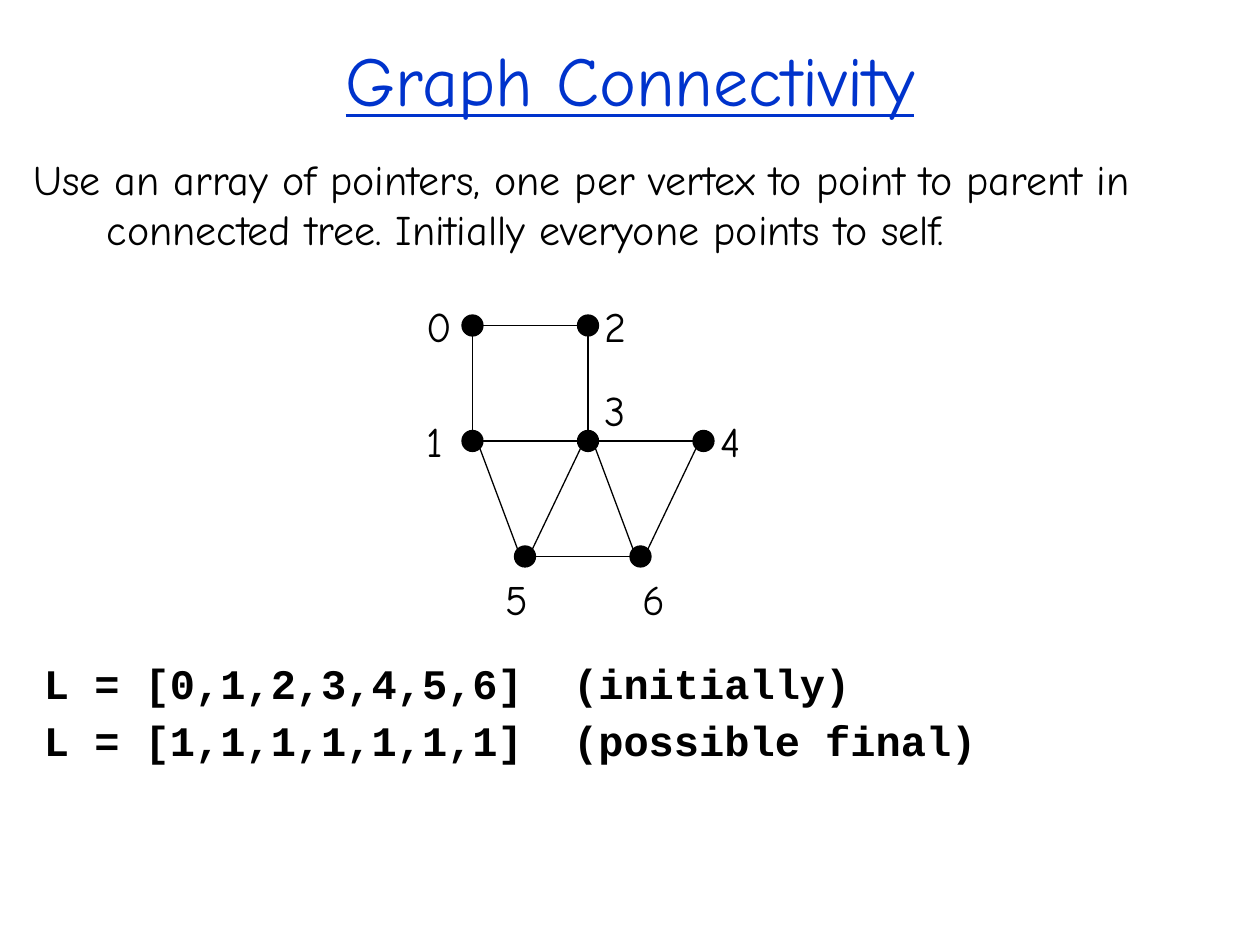
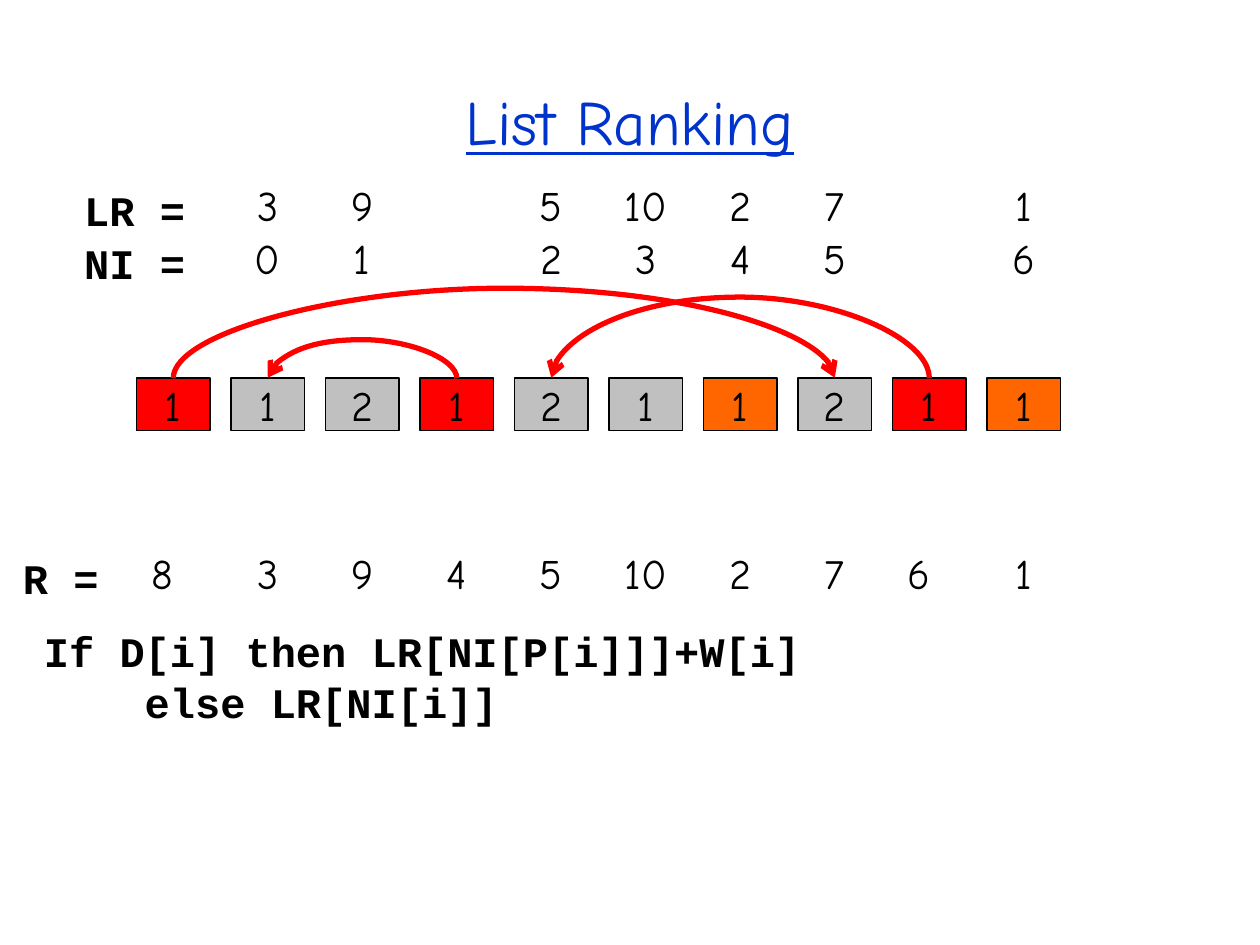
import math
from dataclasses import dataclass
from typing import NamedTuple, Optional

from lxml import etree
from pptx import Presentation
from pptx import util as u
from pptx.dml.color import RGBColor
from pptx.enum import shapes, text
from pptx.oxml.ns import qn


@dataclass(frozen=True)
class Theme:
    ink: str = "000000"
    paper: str = "FFFFFF"
    title: str = "0033CC"
    start: str = "FF0000"
    dropped: str = "FF6600"
    kept: str = "C0C0C0"
    hand: str = "Comic Neue"
    code: str = "Courier New"
    body_size: float = 24
    thin: float = 0.75
    thick: float = 3
    line_gap: float = 4


class Area(NamedTuple):
    column: float
    row: float
    columns: float
    rows: float


class Node(NamedTuple):
    column: float
    row: float
    label_column: float
    label_row: float


class Hop(NamedTuple):
    start: int
    end: int
    rise: float


class ValueRow(NamedTuple):
    name: str
    name_area: Area
    row: float
    values: list[Optional[int]]
    nudged: tuple[int, ...] = ()


THEME = Theme()
WIDTH, HEIGHT = u.Inches(10), u.Inches(7.5)
COLUMNS, ROWS = 120, 90
CELL_COLUMNS, CELL_ROWS, CELL_PITCH, FIRST_CELL = 7, 5, 9, 13
LIST_ROW = 36
BEND_DEPTH = u.Emu(3175)

NODES = [
    Node(45, 31, 39.4, 28),
    Node(45, 42, 39.4, 39),
    Node(56, 31, 56.4, 28),
    Node(56, 42, 56.4, 36),
    Node(67, 42, 67.4, 39),
    Node(50, 53, 47, 54),
    Node(61, 53, 60, 54),
]
EDGES = [(0, 1), (2, 3), (0, 2), (1, 3), (3, 4),
         (5, 6), (1, 5), (5, 3), (4, 6), (6, 3)]

WEIGHTS = [1, 1, 2, 1, 2, 1, 1, 2, 1, 1]
STARTS, DROPPED = {0, 3, 8}, {6, 9}
HOPS = [Hop(3, 1, 3.6), Hop(8, 4, 7.57), Hop(0, 7, 8.4)]
VALUE_ROWS = [
    ValueRow("LR =", Area(6.84, 17, 12.1, 6), 17,
             [None, 3, 9, None, 5, 10, 2, 7, None, 1]),
    ValueRow("NI =", Area(6.84, 22, 12.1, 6), 22,
             [None, 0, 1, None, 2, 3, 4, 5, None, 6]),
    ValueRow("R =", Area(1, 52, 9.7, 6), 52,
             [8, 3, 9, 4, 5, 10, 2, 7, 6, 1], (0, 8)),
]


def across(columns: float) -> u.Emu:
    return u.Emu(round(WIDTH * columns / COLUMNS))


def down(rows: float) -> u.Emu:
    return u.Emu(round(HEIGHT * rows / ROWS))


def place(area: Area) -> tuple:
    return across(area.column), down(area.row), across(area.columns), down(area.rows)


def colour(value: str) -> RGBColor:
    return RGBColor.from_string(value)


def write(frame, content: str, *, font=THEME.hand, size=THEME.body_size,
          ink=THEME.ink, bold=False, underline=False, align=text.PP_ALIGN.LEFT,
          anchor=text.MSO_ANCHOR.TOP, wrap=True, hanging=0, gap=0, tab=0) -> None:
    frame.word_wrap = wrap
    frame.auto_size = text.MSO_AUTO_SIZE.NONE
    frame.vertical_anchor = anchor
    for index, line in enumerate(content.split("\n")):
        para = frame.add_paragraph() if index else frame.paragraphs[0]
        para.alignment = align
        if index and gap:
            para.space_before = u.Pt(gap)
        properties = para._p.get_or_add_pPr()
        if hanging:
            properties.set("marL", str(across(hanging)))
            properties.set("indent", str(-across(hanging)))
        if tab:
            stops = etree.SubElement(properties, qn("a:tabLst"))
            etree.SubElement(stops, qn("a:tab"), pos=str(across(tab)), algn="l")
        span = para.add_run()
        span.text = line
        span.font.name = font
        span.font.size = u.Pt(size)
        span.font.bold = bold
        span.font.underline = underline
        span.font.color.rgb = colour(ink)


def add_text(page, area: Area, content: str, **style) -> None:
    write(page.shapes.add_textbox(*place(area)).text_frame, content, **style)


def add_code(page, area: Area, content: str, **style) -> None:
    add_text(page, area, content, font=THEME.code, bold=True, **style)


def add_page(deck, title: str, row: float, size: float):
    page = deck.slides.add_slide(deck.slide_layouts[5])
    box = page.shapes.title
    box.left, box.top, box.width, box.height = place(Area(9, row, 102, 11))
    write(box.text_frame, title, size=size, ink=THEME.title, underline=True,
          align=text.PP_ALIGN.CENTER, anchor=text.MSO_ANCHOR.MIDDLE)
    return page


def add_solid(page, kind, area: Area, fill: str, outline: str):
    shape = page.shapes.add_shape(kind, *place(area))
    shape.shadow.inherit = False
    shape.fill.solid()
    shape.fill.fore_color.rgb = colour(fill)
    shape.line.color.rgb = colour(outline)
    shape.line.width = u.Pt(THEME.thin)
    return shape


def add_cell(page, column: float, row: float, value: int, fill: str, outline: str):
    area = Area(column, row, CELL_COLUMNS, CELL_ROWS)
    cell = add_solid(page, shapes.MSO_SHAPE.RECTANGLE, area, fill, outline)
    write(cell.text_frame, str(value), align=text.PP_ALIGN.CENTER,
          anchor=text.MSO_ANCHOR.MIDDLE)
    return cell


def add_line(page, kind, start: tuple, end: tuple, ink: str, width: float):
    line = page.shapes.add_connector(kind, across(start[0]), down(start[1]),
                                     across(end[0]), down(end[1]))
    line.line.color.rgb = colour(ink)
    line.line.width = u.Pt(width)
    etree.SubElement(line._element.spPr, qn("a:effectLst"))
    return line


def rim_point(node: Node, toward: Node) -> tuple[float, float]:
    angle = math.atan2(toward.row - node.row, toward.column - node.column)
    snapped = round(angle / (math.pi / 4)) * math.pi / 4
    return node.column + math.cos(snapped), node.row + math.sin(snapped)


def add_edge(page, first: Node, second: Node) -> None:
    add_line(page, shapes.MSO_CONNECTOR.STRAIGHT, rim_point(first, second),
             rim_point(second, first), THEME.ink, THEME.thin)


def add_node(page, number: int, node: Node) -> None:
    add_solid(page, shapes.MSO_SHAPE.OVAL,
              Area(node.column - 1, node.row - 1, 2, 2), THEME.ink, THEME.ink)
    add_text(page, Area(node.label_column, node.label_row, 4.5, 6),
             str(number), wrap=False)


def cell_column(slot: int) -> float:
    return FIRST_CELL + slot * CELL_PITCH


def add_hop(page, cells: list, hop: Hop) -> None:
    start, end = (cell_column(slot) + CELL_COLUMNS / 2 for slot in (hop.start, hop.end))
    arrow = add_line(page, shapes.MSO_CONNECTOR.CURVE, (start, LIST_ROW),
                     (end, LIST_ROW), THEME.start, THEME.thick)
    arrow.begin_connect(cells[hop.start], 0)
    arrow.end_connect(cells[hop.end], 0)
    reach = across(abs(end - start))
    arrow.left = across((start + end) / 2) - BEND_DEPTH // 2
    arrow.top = down(LIST_ROW) - reach // 2
    arrow.width, arrow.height = BEND_DEPTH, reach
    properties = arrow._element.spPr
    frame = properties.find(qn("a:xfrm"))
    frame.rot = 270
    frame.flipH = False
    frame.flipV = end < start
    guides = properties.find(qn("a:prstGeom")).find(qn("a:avLst"))
    bend = round(down(hop.rise) / BEND_DEPTH * 100000)
    etree.SubElement(guides, qn("a:gd"), name="adj1", fmla=f"val {bend}")
    etree.SubElement(arrow.line._get_or_add_ln(), qn("a:tailEnd"), type="arrow")


def add_value_row(page, entry: ValueRow) -> None:
    add_code(page, entry.name_area, entry.name, wrap=False)
    for slot, value in enumerate(entry.values):
        if value is not None:
            column = cell_column(slot) - (slot in entry.nudged)
            add_cell(page, column, entry.row, value, THEME.paper, THEME.paper)


def cell_fill(slot: int) -> str:
    if slot in STARTS:
        return THEME.start
    return THEME.dropped if slot in DROPPED else THEME.kept


def build_connectivity(deck) -> None:
    page = add_page(deck, "Graph Connectivity", 2, 40)
    add_text(page, Area(2, 14, 115, 11),
             "Use an array of pointers, one per vertex to point to parent in "
             "connected tree. Initially everyone points to self.", hanging=7)
    for first, second in EDGES:
        add_edge(page, NODES[first], NODES[second])
    for number, node in enumerate(NODES):
        add_node(page, number, node)
    add_code(page, Area(3, 62, 116, 19),
             "L = [0,1,2,3,4,5,6]\t(initially)\n"
             "L = [1,1,1,1,1,1,1]\t(possible final)",
             gap=THEME.line_gap, tab=50.4)


def build_ranking(deck) -> None:
    page = add_page(deck, "List Ranking", 6, 36)
    cells = [add_cell(page, cell_column(slot), LIST_ROW, weight,
                      cell_fill(slot), THEME.ink)
             for slot, weight in enumerate(WEIGHTS)]
    for entry in VALUE_ROWS:
        add_value_row(page, entry)
    add_code(page, Area(3, 59, 117, 6),
             "If D[i] then LR[NI[P[i]]]+W[i]\n    else LR[NI[i]]")
    for hop in HOPS:
        add_hop(page, cells, hop)


def main() -> None:
    deck = Presentation()
    deck.slide_width, deck.slide_height = WIDTH, HEIGHT
    build_connectivity(deck)
    build_ranking(deck)
    deck.save("out.pptx")


if __name__ == "__main__":
    main()
